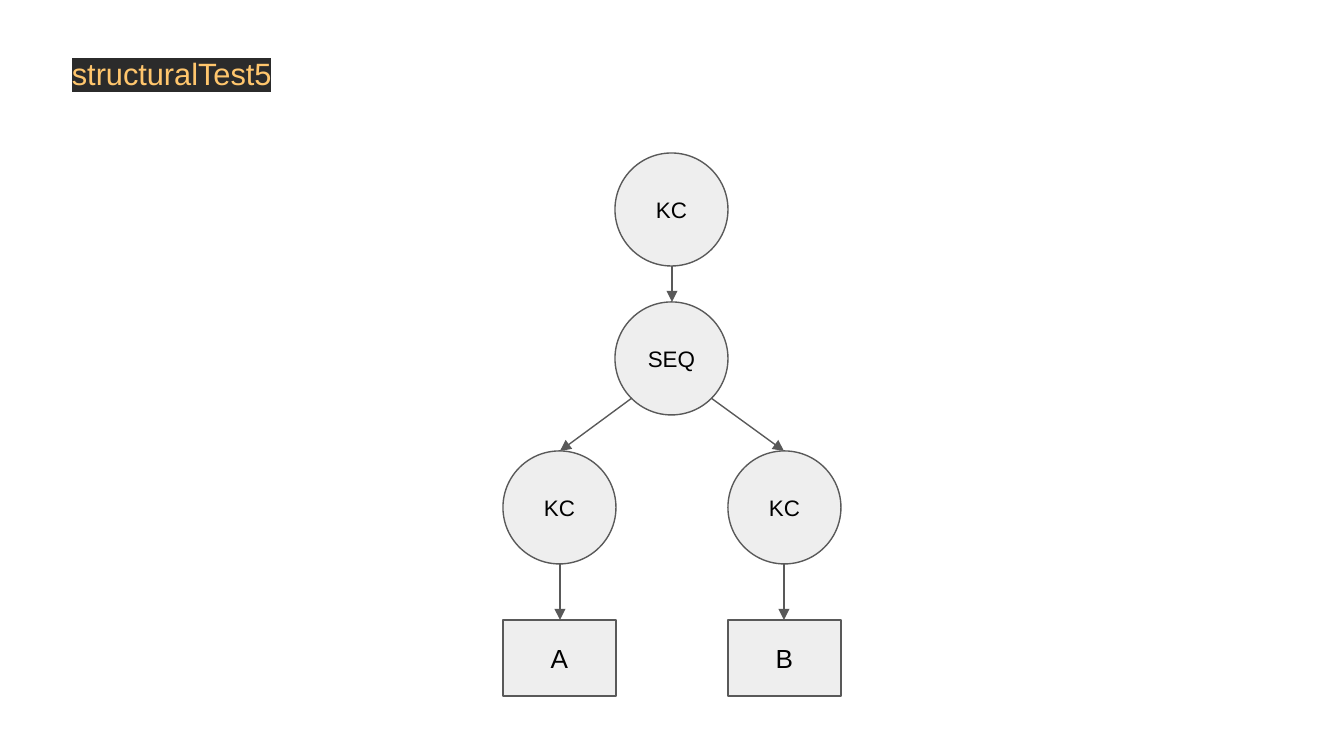
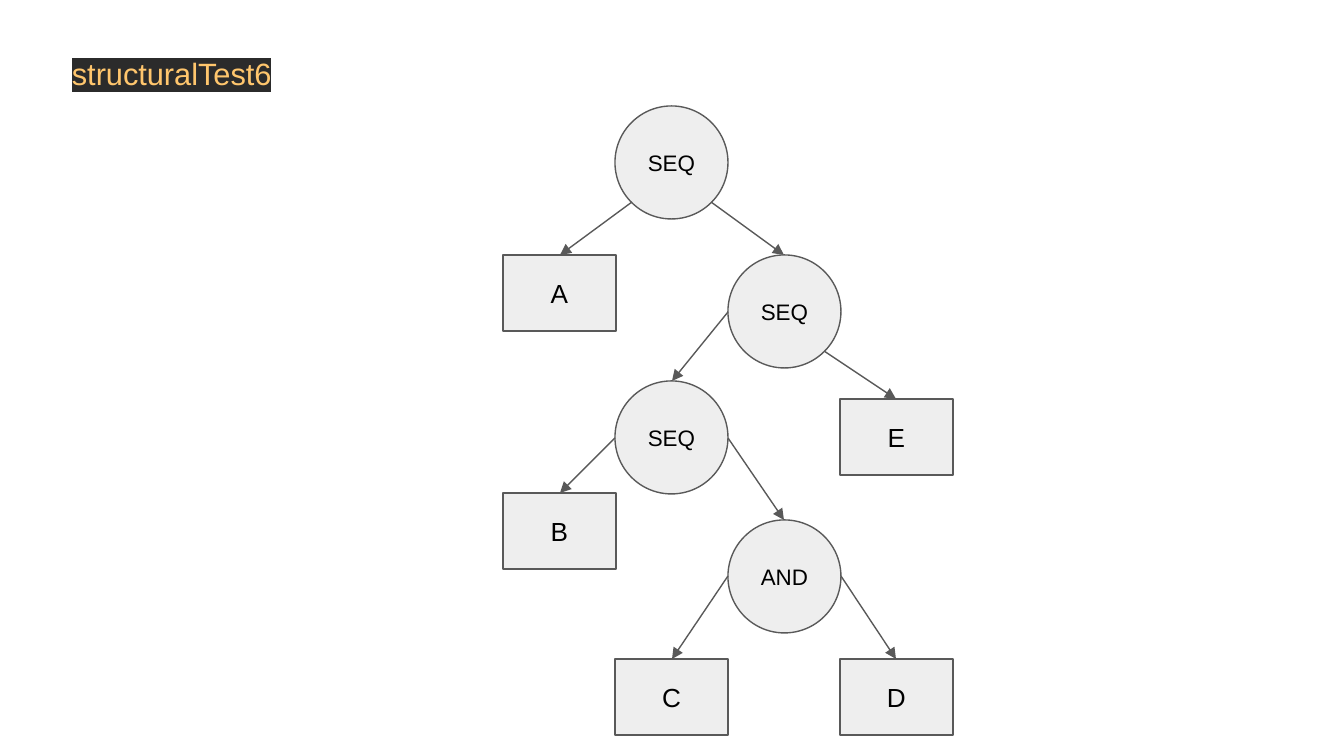
from dataclasses import dataclass
from lxml import etree
from pptx import Presentation
from pptx.dml.color import RGBColor
from pptx.enum.shapes import MSO_CONNECTOR, MSO_SHAPE
from pptx.enum.text import MSO_ANCHOR, PP_ALIGN
from pptx.oxml.ns import qn
from pptx.slide import Slide
from pptx.text.text import TextFrame
from pptx.util import Emu, Pt

OVAL, RECT = MSO_SHAPE.OVAL, MSO_SHAPE.RECTANGLE
STRAIGHT = MSO_CONNECTOR.STRAIGHT
TOP, MIDDLE = MSO_ANCHOR.TOP, MSO_ANCHOR.MIDDLE
LEFT, CENTER = PP_ALIGN.LEFT, PP_ALIGN.CENTER

SCALE = 914400 / 134.4
WIDTH, HEIGHT = 1344, 756
SIDE, LEAF = 113, 76
FIRST, PITCH = 503, 225
INSET = 13
FONT = "Arial"
FILL, EDGE, INK = "EEEEEE", "595959", "000000"
GOLD, DARK = "FFC66D", "2B2B2B"
STROKE = 0.75

PORTS = {
    "top": (0.5, 0),
    "left": (0, 0.5),
    "right": (1, 0.5),
    "bottom": (0.5, 1),
    "lower left": (0.15, 0.85),
    "lower right": (0.85, 0.85),
}


@dataclass(frozen=True)
class Node:
    text: str
    col: int
    top: int
    leaf: bool = False

    @property
    def left(self) -> int:
        return FIRST + self.col * PITCH // 2

    @property
    def height(self) -> int:
        return LEAF if self.leaf else SIDE

    def port(self, name: str) -> tuple[int, int]:
        across, down = PORTS[name]
        return round(self.left + across * SIDE), round(self.top + down * self.height)


@dataclass(frozen=True)
class Edge:
    start: int
    port: str
    end: int


@dataclass(frozen=True)
class Tree:
    title: str
    nodes: list[Node]
    edges: list[Edge]


TREES = [
    Tree(
        "structuralTest5",
        [
            Node("KC", 1, 153),
            Node("SEQ", 1, 302),
            Node("KC", 0, 451),
            Node("KC", 2, 451),
            Node("A", 0, 620, True),
            Node("B", 2, 620, True),
        ],
        [
            Edge(0, "bottom", 1),
            Edge(1, "lower left", 2),
            Edge(1, "lower right", 3),
            Edge(2, "bottom", 4),
            Edge(3, "bottom", 5),
        ],
    ),
    Tree(
        "structuralTest6",
        [
            Node("SEQ", 1, 106),
            Node("A", 0, 255, True),
            Node("SEQ", 2, 255),
            Node("SEQ", 1, 381),
            Node("E", 3, 399, True),
            Node("B", 0, 493, True),
            Node("AND", 2, 520),
            Node("C", 1, 659, True),
            Node("D", 3, 659, True),
        ],
        [
            Edge(0, "lower left", 1),
            Edge(0, "lower right", 2),
            Edge(2, "left", 3),
            Edge(2, "lower right", 4),
            Edge(3, "left", 5),
            Edge(3, "right", 6),
            Edge(6, "left", 7),
            Edge(6, "right", 8),
        ],
    ),
]


def px(size: int) -> Emu:
    return Emu(round(size * SCALE))


def paint(code: str) -> RGBColor:
    return RGBColor.from_string(code)


def write(frame: TextFrame, text: str, *, size: float, color: str = INK,
          align: PP_ALIGN = LEFT, anchor: MSO_ANCHOR = TOP, mark: str = "") -> None:
    frame.word_wrap = True
    frame.vertical_anchor = anchor
    frame.margin_left = frame.margin_right = px(INSET)
    frame.margin_top = frame.margin_bottom = px(INSET)
    para = frame.paragraphs[0]
    para.alignment = align
    run = para.add_run()
    run.text = text
    run.font.size = Pt(size)
    run.font.color.rgb = paint(color)
    if mark:
        glow = etree.SubElement(run.font._element, qn("a:highlight"))
        etree.SubElement(glow, qn("a:srgbClr"), val=mark)
    run.font.name = FONT


def draw_title(slide: Slide, text: str) -> None:
    box = slide.shapes.add_textbox(px(59), px(42), px(634), px(65))
    write(box.text_frame, text, size=16.5, color=GOLD, mark=DARK)


def draw_node(slide: Slide, node: Node) -> None:
    shape = slide.shapes.add_shape(
        RECT if node.leaf else OVAL,
        px(node.left), px(node.top), px(SIDE), px(node.height))
    shape.shadow.inherit = False
    shape.fill.solid()
    shape.fill.fore_color.rgb = paint(FILL)
    shape.line.color.rgb = paint(EDGE)
    shape.line.width = Pt(STROKE)
    write(shape.text_frame, node.text, size=14 if node.leaf else 12,
          align=CENTER, anchor=MIDDLE)


def draw_edge(slide: Slide, nodes: list[Node], edge: Edge) -> None:
    start = nodes[edge.start].port(edge.port)
    end = nodes[edge.end].port("top")
    link = slide.shapes.add_connector(STRAIGHT, *map(px, start + end))
    link.line.color.rgb = paint(EDGE)
    link.line.width = Pt(STROKE)
    props = link._element.spPr
    etree.SubElement(props.find(qn("a:ln")), qn("a:tailEnd"), type="triangle")
    etree.SubElement(props, qn("a:effectLst"))


def draw_tree(slide: Slide, tree: Tree) -> None:
    draw_title(slide, tree.title)
    for node in tree.nodes:
        draw_node(slide, node)
    for edge in tree.edges:
        draw_edge(slide, tree.nodes, edge)


def main() -> None:
    deck = Presentation()
    deck.slide_width, deck.slide_height = px(WIDTH), px(HEIGHT)
    blank = deck.slide_layouts[6]
    for tree in TREES:
        draw_tree(deck.slides.add_slide(blank), tree)
    deck.save("out.pptx")


main()
